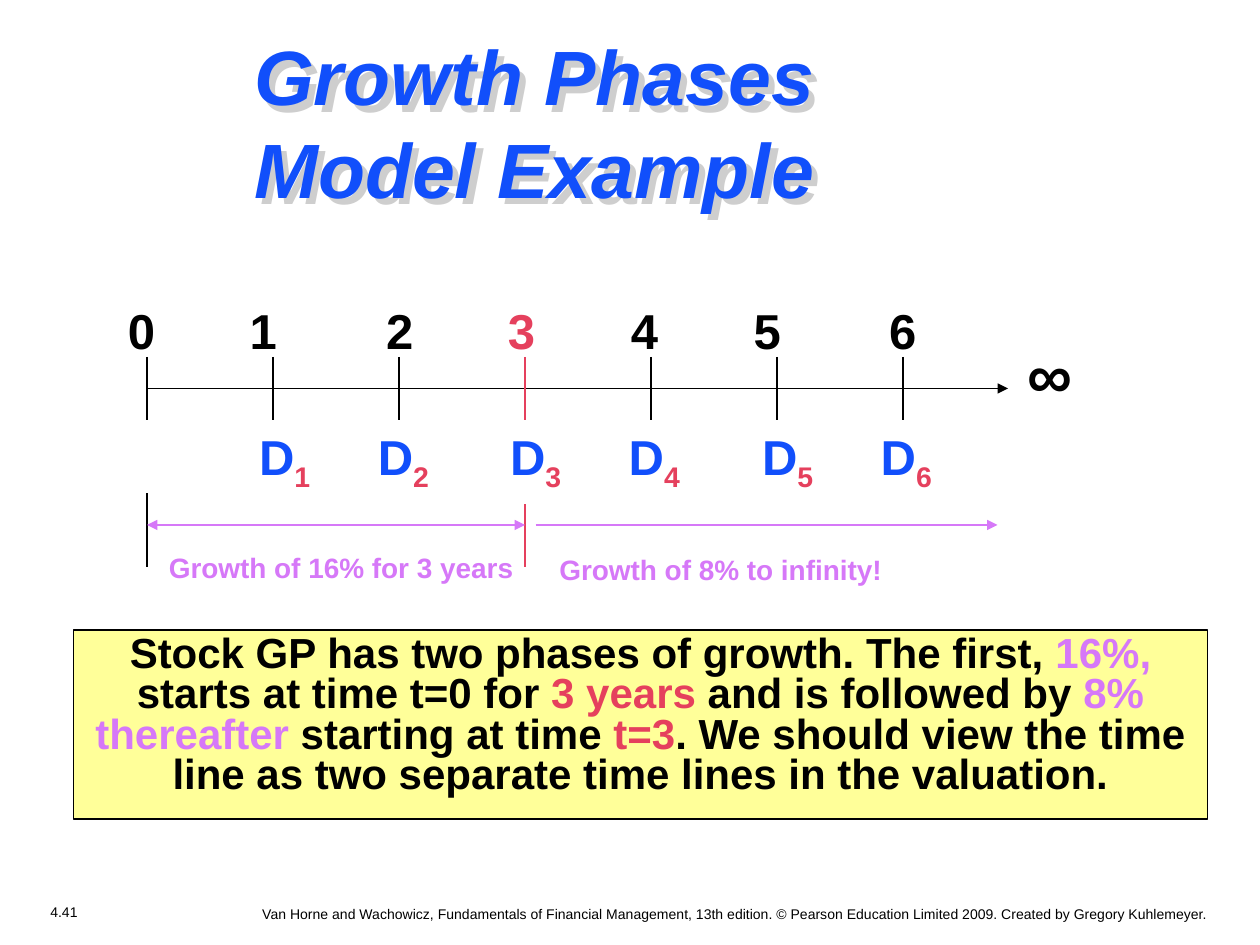
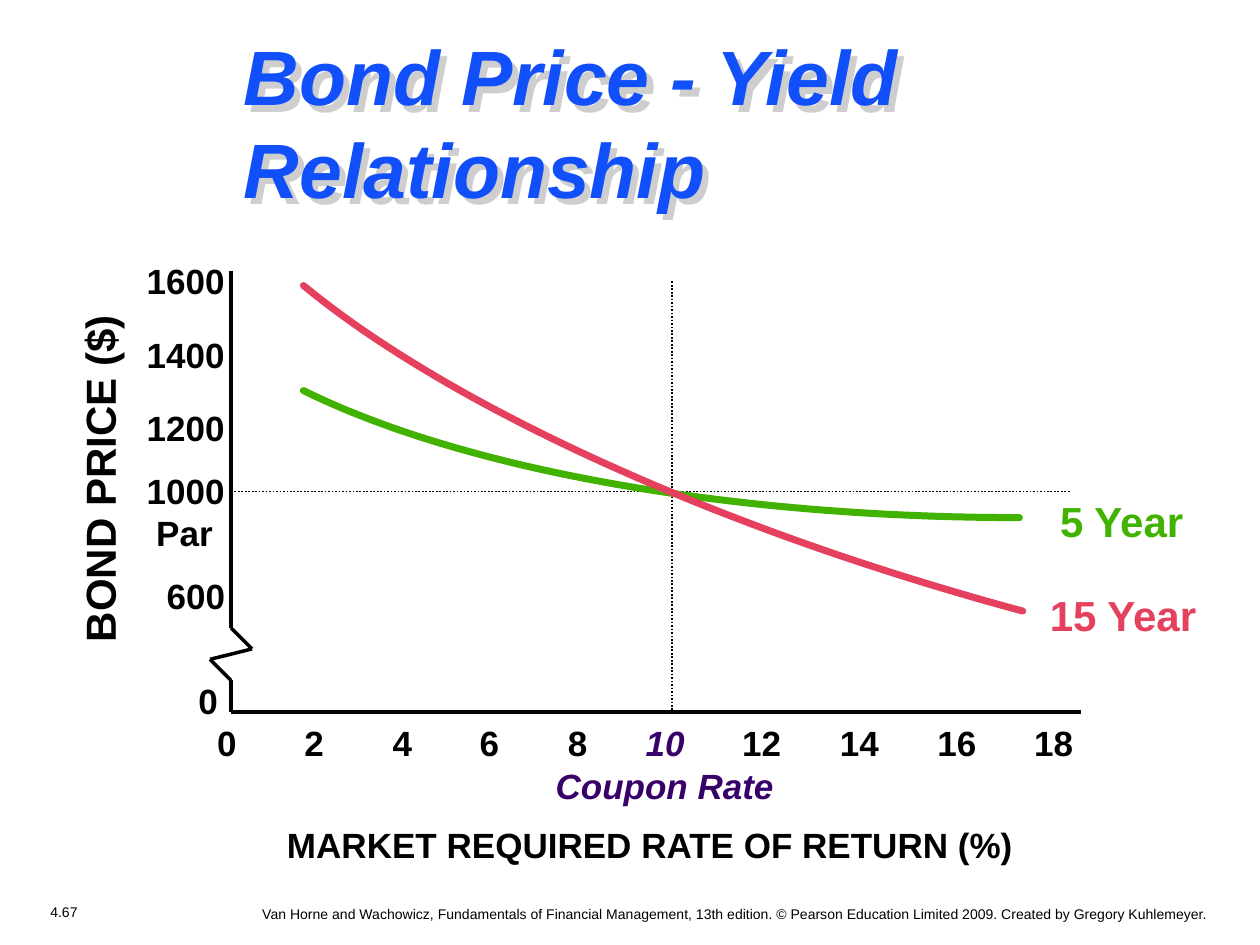
import itertools

import pptx
import pptx.dml.color
import pptx.enum.dml
import pptx.enum.shapes
import pptx.enum.text
import pptx.oxml
import pptx.oxml.ns
import pptx.util
from lxml import etree

COLORS = {
    "ink": "000000",
    "blue": "114FFB",
    "red": "E5405D",
    "violet": "D678F8",
    "purple": "380069",
    "green": "42B200",
    "note": "FFFF99",
    "shadow": "CECECE",
}
FONT = "Arial"
COLUMNS = 120
SLIDE_WIDTH, SLIDE_HEIGHT = pptx.util.Inches(10), pptx.util.Inches(7.5)
CELL = SLIDE_WIDTH // COLUMNS
CREDIT = (
    "Van Horne and Wachowicz, Fundamentals of Financial Management, 13th edition. "
    "© Pearson Education Limited 2009. Created by Gregory Kuhlemeyer."
)
ALIGN = pptx.enum.text.PP_ALIGN
ANCHOR = pptx.enum.text.MSO_ANCHOR
FIT = pptx.enum.text.MSO_AUTO_SIZE
DOTTED = pptx.enum.dml.MSO_LINE.ROUND_DOT


def cells(count):
    """Turn a number of grid cells into a slide length."""
    return round(count * CELL)


def rgb(name):
    """Look up a named colour."""
    return pptx.dml.color.RGBColor.from_string(COLORS[name])


def add_child(parent, tag, **attributes):
    """Append a drawing element to a parent element."""
    child = etree.SubElement(parent, pptx.oxml.ns.qn(tag))
    for key, value in attributes.items():
        child.set(key, str(value))
    return child


def add_span(para, text, color="ink", size=20, bold=True, italic=False, sub=False):
    """Add one formatted run to a paragraph."""
    span = para.add_run()
    span.text = text
    font = span.font
    font.name, font.size = FONT, pptx.util.Pt(size)
    font.bold, font.italic = bold, italic
    font.color.rgb = rgb(color)
    if sub:
        span._r.get_or_add_rPr().set("baseline", "-25000")


def set_indent(para, indent):
    """Move the left edge of a paragraph by some cells."""
    para._p.get_or_add_pPr().set("marL", str(cells(indent)))


def set_tabs(para, stops):
    """Give a paragraph left tab stops at the given cells."""
    tabs = add_child(para._p.get_or_add_pPr(), "a:tabLst")
    for stop in stops:
        add_child(tabs, "a:tab", pos=cells(stop), algn="l")


def add_text(page, place, text="", wrap=False, align=ALIGN.LEFT, **style):
    """Add a text box at grid cells, fitted to its text unless it wraps."""
    box = page.shapes.add_textbox(*map(cells, place))
    frame = box.text_frame
    frame.word_wrap = wrap
    frame.auto_size = FIT.NONE if wrap else FIT.SHAPE_TO_FIT_TEXT
    para = frame.paragraphs[0]
    para.alignment = align
    if text:
        add_span(para, text, **style)
    return box


def add_scale(page, place, stops, marks):
    """Add a row of marks, each a list of spans, set on tab stops."""
    para = add_text(page, place, wrap=True).text_frame.paragraphs[0]
    set_tabs(para, stops)
    for index, spans in enumerate(marks):
        for position, (text, style) in enumerate(spans):
            tab = "\t" if position == 0 and (index or len(stops) == len(marks)) else ""
            add_span(para, tab + text, **style)


def add_line(page, start, end, color="ink", width=1, dash=None, head=False, tail=False):
    """Add a straight line with optional dash and arrowheads."""
    line = page.shapes.add_connector(
        pptx.enum.shapes.MSO_CONNECTOR.STRAIGHT, *map(cells, (*start, *end))
    )
    line.line.color.rgb = rgb(color)
    line.line.width = pptx.util.Pt(width)
    if dash:
        line.line.dash_style = dash
    properties = line._element.spPr
    outline = properties.find(pptx.oxml.ns.qn("a:ln"))
    for wanted, tag in ((head, "a:headEnd"), (tail, "a:tailEnd")):
        if wanted:
            add_child(outline, tag, type="triangle")
    add_child(properties, "a:effectLst")


def add_curve(page, controls, color):
    """Draw a cubic curve from its four control points."""
    steps = 48
    points = []
    for step in range(steps + 1):
        t = step / steps
        weights = ((1 - t) ** 3, 3 * t * (1 - t) ** 2, 3 * t * t * (1 - t), t**3)
        points.append(
            tuple(cells(sum(w * p[axis] for w, p in zip(weights, controls))) for axis in (0, 1))
        )
    builder = page.shapes.build_freeform(*points[0])
    builder.add_line_segments(points[1:], close=False)
    curve = builder.convert_to_shape()
    curve.shadow.inherit = False
    curve.fill.background()
    curve.line.color.rgb = rgb(color)
    curve.line.width = pptx.util.Pt(4)
    curve._element.spPr.find(pptx.oxml.ns.qn("a:ln")).set("cap", "rnd")


def add_page(deck, title, left, width, number):
    """Add a slide with its shadowed title, number and credit line."""
    page = deck.slides.add_slide(deck.slide_layouts[5])
    box = page.shapes.title
    box.left, box.top, box.width, box.height = map(cells, (left, 2.2, width, 18.7))
    frame = box.text_frame
    frame.word_wrap = True
    frame.auto_size = FIT.NONE
    frame.vertical_anchor = ANCHOR.MIDDLE
    frame.paragraphs[0].alignment = ALIGN.LEFT
    add_span(frame.paragraphs[0], title, "blue", 44, italic=True)
    effects = add_child(box._element.spPr, "a:effectLst")
    shadow = add_child(effects, "a:outerShdw", dist=63500, dir=2700000, algn="ctr", rotWithShape=0)
    add_child(shadow, "a:srgbClr", val=COLORS["shadow"])
    add_text(page, (0.8, 85.5, 10.6, 2.9), number, True, ALIGN.CENTER, size=8, bold=False)
    add_text(page, (2.9, 85.6, 113.4, 2.5), CREDIT, True, ALIGN.RIGHT, size=8, bold=False)
    return page


def add_note(page, place, spans):
    """Add the framed explanation from coloured spans."""
    note = page.shapes.add_shape(
        pptx.enum.shapes.MSO_SHAPE.RECTANGLE, *map(cells, place)
    )
    note.shadow.inherit = False
    note.fill.solid()
    note.fill.fore_color.rgb = rgb("note")
    note.line.color.rgb = rgb("ink")
    note.line.width = pptx.util.Pt(1)
    frame = note.text_frame
    frame.word_wrap = True
    frame.vertical_anchor = ANCHOR.TOP
    para = frame.paragraphs[0]
    para.alignment = ALIGN.CENTER
    para.line_spacing = 0.8
    for text, color in spans:
        add_span(para, text, color, 24)


def build_growth_page(deck):
    """Build the time line with two growth phases."""
    page = add_page(deck, "Growth Phases Model Example", 23, 78, "4.41")
    add_note(page, (7, 60, 108, 18), [
        ("Stock GP has two phases of growth. The first, ", "ink"),
        ("16%,", "violet"),
        (" starts at time t=0 for ", "ink"),
        ("3 years", "red"),
        (" and is followed by ", "ink"),
        ("8% thereafter", "violet"),
        (" starting at time ", "ink"),
        ("t=3", "red"),
        (". We should view the time line as two separate time lines in the valuation.", "ink"),
    ])
    year_colors = ["red" if year == 3 else "ink" for year in range(7)]
    add_line(page, (14, 37), (96, 37), tail=True)
    for year, color in enumerate(year_colors):
        column = 14 + 12 * year
        add_line(page, (column, 34), (column, 40), color)
    add_text(page, (96.7, 31.4, 6.8, 8.4), "∞", size=36)
    add_scale(
        page, (11, 28, 84, 6.8), (11.6, 24.6, 36.2, 47.9, 59.6, 72.5),
        [[(str(year), {"color": color, "size": 28})] for year, color in enumerate(year_colors)],
    )
    add_scale(
        page, (12.1, 40, 84, 7.6), (11.4, 22.7, 35.3, 46.6, 59.3, 70.6),
        [
            [("D", {"color": "blue", "size": 28}),
             (str(year), {"color": "red", "size": 28, "sub": True})]
            for year in range(1, 7)
        ],
    )
    add_line(page, (50, 48), (50, 54), "red")
    add_line(page, (14, 47), (14, 54))
    add_line(page, (14, 50), (50, 50), "violet", head=True, tail=True)
    add_line(page, (51, 50), (95, 50), "violet", tail=True)
    for place, text in (
        ((14.9, 51.8, 35.2, 4.4), "Growth of 16% for 3 years"),
        ((52.1, 52, 33.1, 4.4), "Growth of 8% to infinity!"),
    ):
        add_text(page, place, text, color="violet", size=16)


def build_bond_page(deck):
    """Build the price and yield diagram for two bonds."""
    page = add_page(deck, "Bond Price - Yield Relationship", 22, 89, "4.67")
    caption = add_text(
        page, (5.9, 72.2, 112, 10.8), "Coupon Rate", True, ALIGN.CENTER,
        color="purple", italic=True,
    ).text_frame
    set_indent(caption.paragraphs[0], 2.8)
    caption.paragraphs[0].space_after = pptx.util.Pt(5)
    para = caption.add_paragraph()
    para.alignment = ALIGN.CENTER
    para.space_before = pptx.util.Pt(5)
    add_span(para, "MARKET REQUIRED RATE OF RETURN (%)")

    add_line(page, (64, 26.8), (64, 67.8), dash=DOTTED)
    add_line(page, (22, 46.8), (102, 46.8), dash=DOTTED)
    axis = [(22, 25.8), (22, 59.8), (24, 61.8), (20, 62.8), (22, 64.8), (22, 67.8), (103, 67.8)]
    for start, end in itertools.pairwise(axis):
        add_line(page, start, end, width=2)

    add_text(page, (-7.3, 42.6, 33.5, 6), "BOND PRICE ($)", size=24).rotation = 270
    for place, text in (
        ((12.8, 24.1, 9.8, 5.2), "1600"),
        ((12.8, 31.2, 9.8, 5.2), "1400"),
        ((12.8, 38.1, 9.8, 5.2), "1200"),
        ((14.7, 54.1, 8.2, 5.2), "600"),
        ((17.7, 64.1, 4.4, 5.2), "0"),
    ):
        add_text(page, place, text)
    par = add_text(page, (12.8, 44.1, 9.8, 9.1), "1000").text_frame.add_paragraph()
    set_indent(par, 0.9)
    add_span(par, "Par")

    coupon = {"color": "purple", "italic": True}
    add_scale(
        page, (19.5, 68.1, 88, 5.2), (8.3, 16.7, 25, 33.4, 40.8, 50, 59.3, 68.6, 77.8),
        [[(str(rate), coupon if rate == 10 else {})] for rate in range(0, 20, 2)],
    )
    add_curve(page, ((28.9, 37.2), (44.3, 44.8), (69.8, 49.3), (97.1, 49.3)), "green")
    add_curve(page, ((28.9, 27.2), (43.1, 38.9), (68.8, 50.5), (97.4, 58.2)), "red")
    add_text(page, (99.8, 46.6, 14.4, 6), "5 Year", color="green", size=24)
    add_text(page, (98.8, 55.6, 16.6, 6), "15 Year", color="red", size=24)


def main():
    """Build and save the deck."""
    deck = pptx.Presentation()
    deck.slide_width, deck.slide_height = SLIDE_WIDTH, SLIDE_HEIGHT
    build_growth_page(deck)
    build_bond_page(deck)
    deck.save("out.pptx")


if __name__ == "__main__":
    main()
